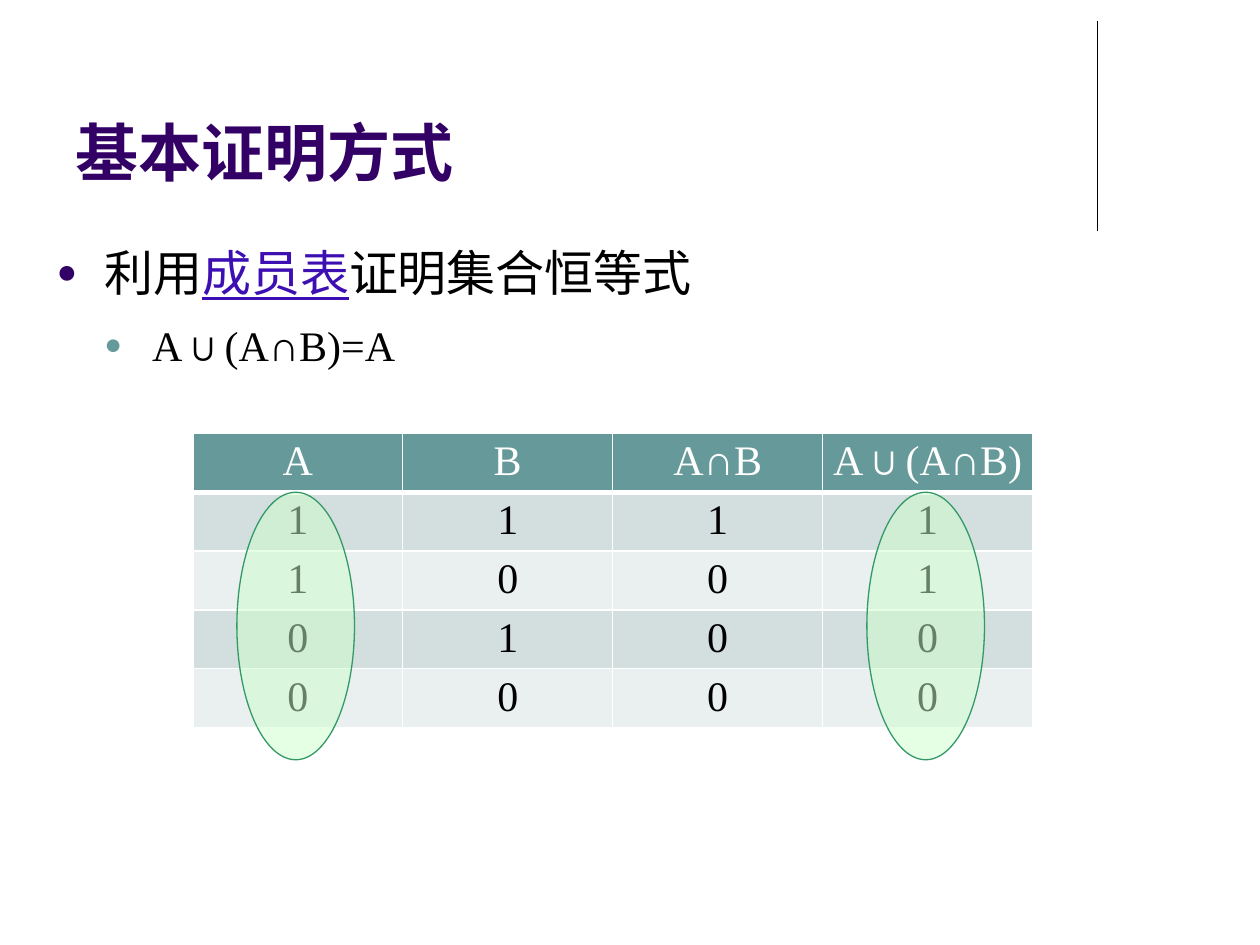
"""Build the slide that proves a set identity with a membership table."""
import dataclasses

import lxml.etree
import pptx
import pptx.dml.color
import pptx.enum.shapes
import pptx.enum.text
import pptx.oxml.ns
import pptx.util

Inches, Pt = pptx.util.Inches, pptx.util.Pt
qn = pptx.oxml.ns.qn
ALIGN = pptx.enum.text.PP_ALIGN


@dataclasses.dataclass(frozen=True)
class Theme:
    title: str = "330066"
    text: str = "000000"
    term: str = "3D0EB2"
    accent: str = "669999"
    paper: str = "FFFFFF"
    bands: tuple[str, str] = ("D3DEDE", "EAEFEF")
    mark_fill: str = "CCFFCC"
    mark_line: str = "339966"
    heading_face: str = "Arial"
    body_face: str = "Times New Roman"
    chinese_face: str = "Noto Sans CJK SC"
    title_size: int = 36
    point_size: int = 28
    detail_size: int = 24


THEME = Theme()


@dataclasses.dataclass(frozen=True)
class Grid:
    left: float
    top: float
    column: float
    row: float

    def box(self, column: float, row: float, columns: float, rows: float) -> list[int]:
        return [Inches(self.left + column * self.column), Inches(self.top + row * self.row),
                Inches(columns * self.column), Inches(rows * self.row)]


@dataclasses.dataclass(frozen=True)
class Phrase:
    text: str
    face: str = THEME.body_face
    east_face: str = THEME.chinese_face
    color: str = THEME.text
    underline: bool = False


@dataclasses.dataclass(frozen=True)
class Point:
    phrases: tuple[Phrase, ...]
    size: int
    bullet_color: str
    level: int = 0


MEMBERSHIP_GRID = Grid(left=1.53, top=3.44, column=5 / 3, row=7 / 15)
MEMBERSHIP = (
    ("A", "B", "A∩B", "A∪(A∩B)"),
    ("1", "1", "1", "1"),
    ("1", "0", "0", "1"),
    ("0", "1", "0", "0"),
    ("0", "0", "0", "0"),
)
EQUAL_COLUMNS = (0, 3)
POINTS = (
    Point((Phrase("利用"),
           Phrase("成员表", face=THEME.chinese_face, color=THEME.term, underline=True),
           Phrase("证明集合恒等式")),
          THEME.point_size, THEME.title),
    Point((Phrase("A∪(A∩B)=A", east_face=THEME.body_face),),
          THEME.detail_size, THEME.accent, 1),
)


def rgb(color: str) -> pptx.dml.color.RGBColor:
    return pptx.dml.color.RGBColor.from_string(color)


def add_element(parent, tag: str, **attributes: str):
    return lxml.etree.SubElement(parent, qn(tag), attributes)


def style_font(font, face: str, east_face: str, size: int, color: str) -> None:
    font.name, font.size = face, Pt(size)
    font.color.rgb = rgb(color)
    add_element(font._element, "a:ea", typeface=east_face)


def set_title(slide, text: str) -> None:
    title = slide.shapes.title
    title.left, title.top = Inches(0.5), Inches(0.13)
    title.width, title.height = Inches(8.25), Inches(1.42)
    title.text_frame.text = text
    title.text_frame.vertical_anchor = pptx.enum.text.MSO_ANCHOR.BOTTOM
    heading = title.text_frame.paragraphs[0]
    heading.alignment = ALIGN.LEFT
    style_font(heading.font, THEME.heading_face, THEME.chinese_face,
               THEME.title_size, THEME.title)
    heading.font.bold = True


def add_points(slide, points: tuple[Point, ...]) -> None:
    frame = slide.shapes.add_textbox(
        Inches(0.35), Inches(1.78), Inches(8.75), Inches(1.26)).text_frame
    frame.word_wrap = True
    for index, point in enumerate(points):
        paragraph = frame.add_paragraph() if index else frame.paragraphs[0]
        paragraph.level = point.level
        paragraph.alignment = ALIGN.JUSTIFY
        paragraph.line_spacing = 1.2
        paragraph.space_before = Pt(0.2 * point.size if index else 0)
        properties = paragraph._p.get_or_add_pPr()
        properties.set("marL", str(Inches(0.38 * (point.level + 1))))
        properties.set("indent", str(Inches(-0.38)))
        add_element(add_element(properties, "a:buClr"), "a:srgbClr", val=point.bullet_color)
        add_element(properties, "a:buSzPct", val="70000")
        add_element(properties, "a:buFont", typeface=THEME.body_face)
        add_element(properties, "a:buChar", char="●")
        for phrase in point.phrases:
            run = paragraph.add_run()
            run.text = phrase.text
            style_font(run.font, phrase.face, phrase.east_face, point.size, phrase.color)
            run.font.underline = phrase.underline


def set_border(cell, side: str, width: float) -> None:
    line = add_element(cell._tc.get_or_add_tcPr(), f"a:{side}", w=str(Pt(width)))
    add_element(add_element(line, "a:solidFill"), "a:srgbClr", val=THEME.paper)


def add_membership_table(slide, rows: tuple[tuple[str, ...], ...], grid: Grid) -> None:
    table = slide.shapes.add_table(
        len(rows), len(rows[0]), *grid.box(0, 0, len(rows[0]), len(rows))).table
    for row_index, row in enumerate(rows):
        is_header = row_index == 0
        fill = THEME.accent if is_header else THEME.bands[(row_index - 1) % 2]
        for column_index, value in enumerate(row):
            cell = table.cell(row_index, column_index)
            cell.text = value
            cell.margin_left = cell.margin_right = Inches(0.02)
            cell.margin_top, cell.margin_bottom = Inches(0.04), Inches(0.01)
            entry = cell.text_frame.paragraphs[0]
            entry.alignment = ALIGN.CENTER
            style_font(entry.font, THEME.body_face, THEME.body_face, THEME.detail_size,
                       THEME.paper if is_header else THEME.text)
            set_border(cell, "lnL", 1)
            set_border(cell, "lnR", 1)
            set_border(cell, "lnT", 3 if row_index == 1 else 1)
            set_border(cell, "lnB", 3 if is_header else 1)
            cell.fill.solid()
            cell.fill.fore_color.rgb = rgb(fill)


def mark_column(slide, column: int, grid: Grid) -> None:
    mark = slide.shapes.add_shape(
        pptx.enum.shapes.MSO_SHAPE.OVAL, *grid.box(column + 0.21, 1, 0.56, 4.55))
    mark.shadow.inherit = False
    mark.fill.solid()
    mark.fill.fore_color.rgb = rgb(THEME.mark_fill)
    tint = mark._element.spPr.find(qn("a:solidFill")).find(qn("a:srgbClr"))
    add_element(tint, "a:alpha", val="50000")
    mark.line.color.rgb = rgb(THEME.mark_line)
    mark.line.width = Pt(0.75)


def add_margin_rule(slide) -> None:
    rule = slide.shapes.add_connector(
        pptx.enum.shapes.MSO_CONNECTOR.STRAIGHT,
        Inches(8.71), Inches(0.17), Inches(8.71), Inches(1.83))
    rule.line.color.rgb = rgb(THEME.text)
    rule.line.width = Pt(0.75)
    add_element(rule._element.spPr, "a:effectLst")


def main() -> None:
    deck = pptx.Presentation()
    deck.slide_width, deck.slide_height = Inches(10), Inches(7.5)
    slide = deck.slides.add_slide(deck.slide_layouts.get_by_name("Title Only"))
    add_margin_rule(slide)
    set_title(slide, "基本证明方式")
    add_points(slide, POINTS)
    add_membership_table(slide, MEMBERSHIP, MEMBERSHIP_GRID)
    for column in EQUAL_COLUMNS:
        mark_column(slide, column, MEMBERSHIP_GRID)
    deck.save("out.pptx")


if __name__ == "__main__":
    main()
